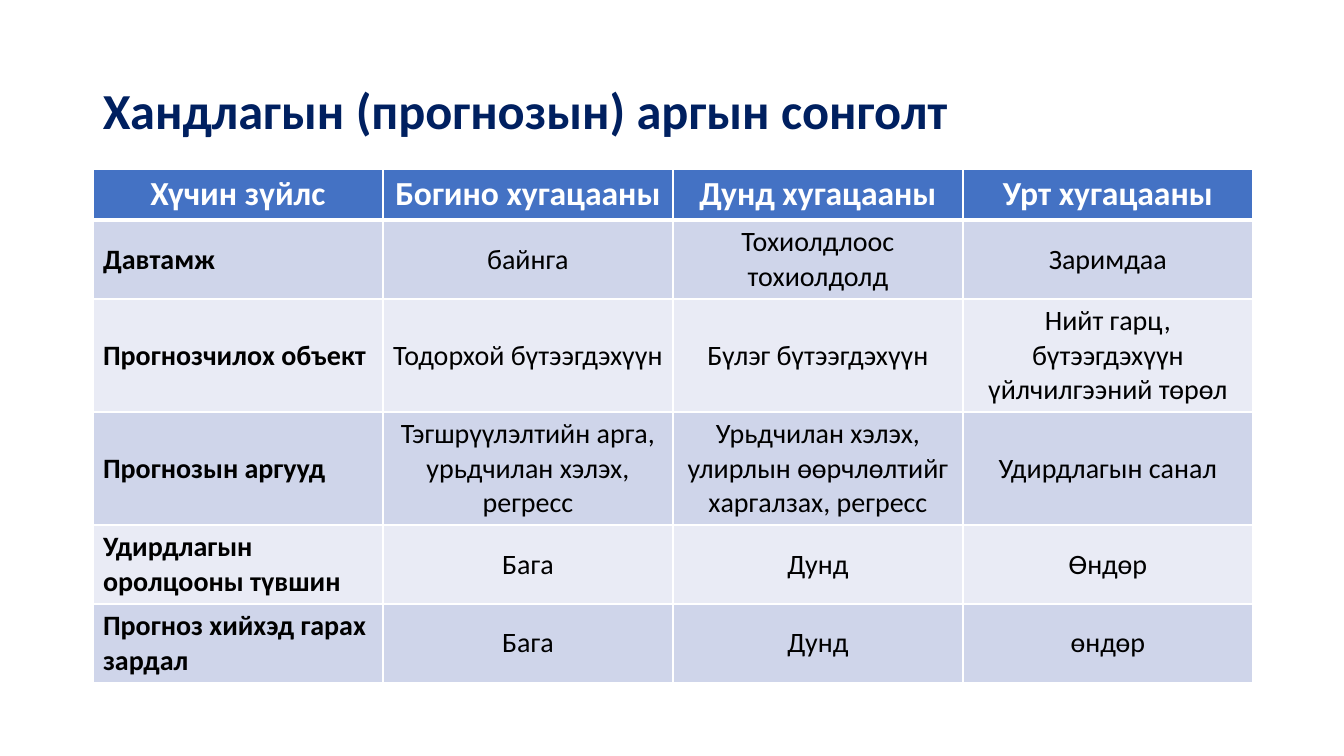
from lxml import etree
from pptx import Presentation
from pptx.dml.color import RGBColor
from pptx.enum.text import MSO_ANCHOR as ANCHOR, PP_ALIGN as ALIGN
from pptx.oxml.ns import qn
from pptx.util import Pt

# Content
TITLE = "Хандлагын (прогнозын) аргын сонголт"
ROWS = [
    ("Хүчин зүйлс", "Богино хугацааны", "Дунд хугацааны", "Урт хугацааны"),
    ("Давтамж", "байнга", "Тохиолдлоос тохиолдолд", "Заримдаа"),
    ("Прогнозчилох объект", "Тодорхой бүтээгдэхүүн", "Бүлэг бүтээгдэхүүн",
     "Нийт гарц, бүтээгдэхүүн үйлчилгээний төрөл"),
    ("Прогнозын аргууд", "Тэгшрүүлэлтийн арга, урьдчилан хэлэх, регресс",
     "Урьдчилан хэлэх, улирлын өөрчлөлтийг харгалзах, регресс",
     "Удирдлагын санал"),
    ("Удирдлагын оролцооны түвшин", "Бага", "Дунд", "Өндөр"),
    ("Прогноз хийхэд гарах зардал", "Бага", "Дунд", "өндөр"),
]
ROW_HEIGHTS = [51, 79, 113, 113, 79, 79]
COL_WIDTH = 290
LEFT, TABLE_TOP = 93, 169
HEADER_FILL, BANDS = "4472C4", ("E9EBF5", "CFD5EA")


def px(n):
    return round(n * 914400 / 100.8)


def rgb(color):
    return RGBColor.from_string(color)


def add_text(p, text, size, color, bold):
    r = p.add_run()
    r.text = text
    r.font.name = "Calibri"
    r.font.size = Pt(size)
    r.font.bold = bold
    r.font.color.rgb = rgb(color)


def set_borders(cell, top, bottom):
    tc_pr = cell._tc.get_or_add_tcPr()
    for side, width in (("L", 1), ("R", 1), ("T", top), ("B", bottom)):
        ln = etree.SubElement(tc_pr, qn(f"a:ln{side}"), w=str(Pt(width)))
        fill = etree.SubElement(ln, qn("a:solidFill"))
        etree.SubElement(fill, qn("a:srgbClr"), val="FFFFFF")


prs = Presentation()
prs.slide_width, prs.slide_height = px(1344), px(756)
s = prs.slides.add_slide(prs.slide_layouts[6])

# Title
table_width = COL_WIDTH * len(ROWS[0])
tf = s.shapes.add_textbox(px(LEFT), px(40), px(table_width), px(146)).text_frame
tf.word_wrap = True
tf.vertical_anchor = ANCHOR.MIDDLE
tf.paragraphs[0].line_spacing = 0.9
add_text(tf.paragraphs[0], TITLE, 36, "002060", True)

# Table
table = s.shapes.add_table(len(ROWS), len(ROWS[0]), px(LEFT), px(TABLE_TOP),
                           px(table_width), px(sum(ROW_HEIGHTS))).table
for col in table.columns:
    col.width = px(COL_WIDTH)

for i, (texts, height) in enumerate(zip(ROWS, ROW_HEIGHTS)):
    table.rows[i].height = px(height)
    header = i == 0
    for j, text in enumerate(texts):
        cell = table.cell(i, j)
        set_borders(cell, top=3 if i == 1 else 1, bottom=3 if header else 1)
        cell.fill.solid()
        cell.fill.fore_color.rgb = rgb(HEADER_FILL if header else BANDS[i % 2])
        cell.vertical_anchor = ANCHOR.TOP if header else ANCHOR.MIDDLE
        p = cell.text_frame.paragraphs[0]
        p.alignment = ALIGN.CENTER if header or j else ALIGN.LEFT
        add_text(p, text, 24 if header else 20,
                 "FFFFFF" if header else "000000", header or j == 0)

prs.save("out.pptx")
